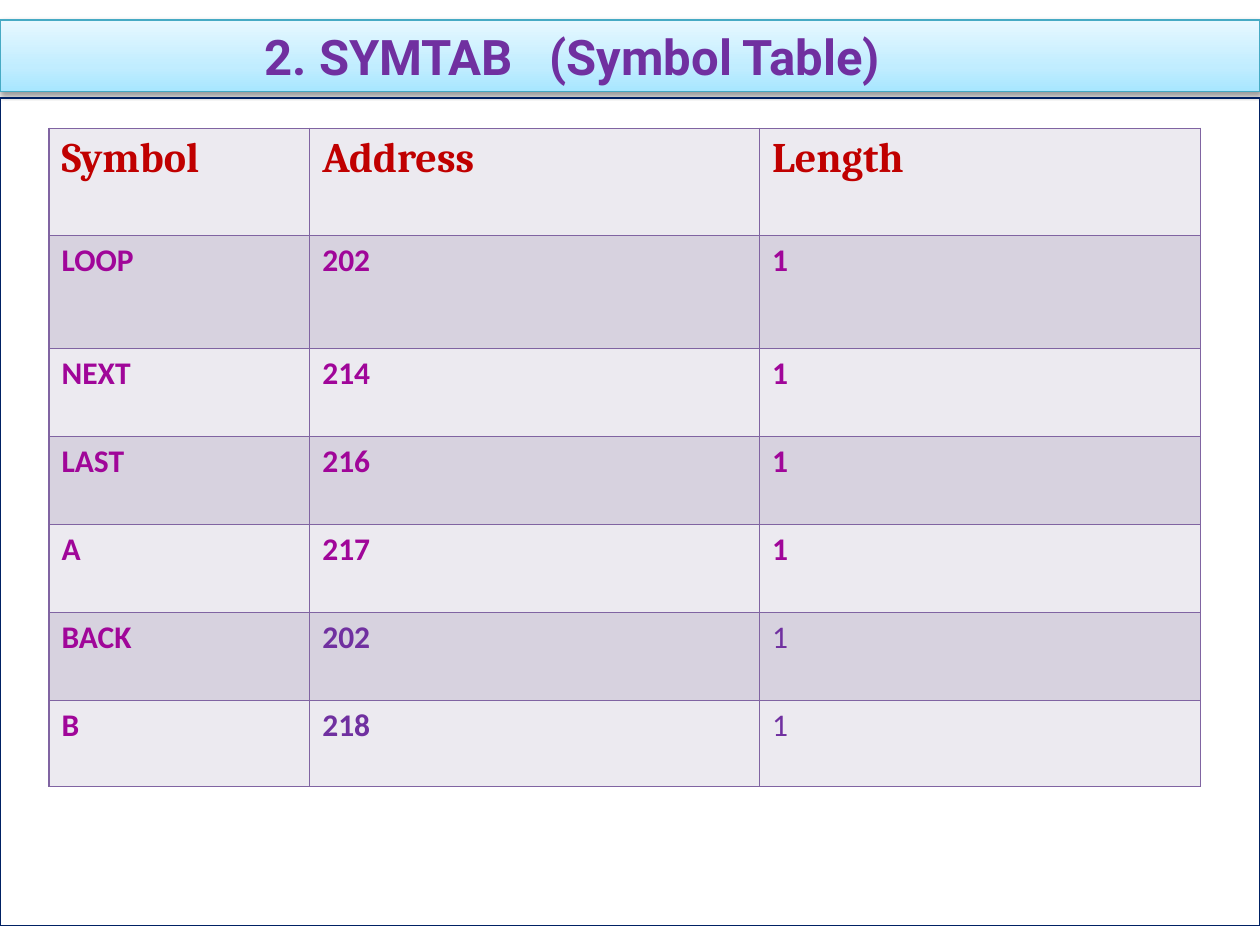
"""Build the SYMTAB (symbol table) slide."""
from lxml import etree
from pptx import Presentation
from pptx.dml import color
from pptx.enum import shapes, text
from pptx.oxml import ns
from pptx.util import Pt

TITLE = "2. SYMTAB\t(Symbol Table)"
HEAD = ("Symbol", "Address", "Length")
ROWS = [
    ("LOOP", "202", "1"),
    ("NEXT", "214", "1"),
    ("LAST", "216", "1"),
    ("A", "217", "1"),
    ("BACK", "202", "1"),
    ("B", "218", "1"),
]
LATE = ("BACK", "B")
WIDTHS = (149, 257, 252)
HEIGHTS = (61.2, 64.7, 50.3, 50.3, 50.3, 50.3, 49)
BANDS = ("ECEAF0", "D7D2DF")
STOPS = ((0, "A7E6FF"), (35, "C1EDFF"), (100, "E7F8FF"))
BORDER = "8064A2"

BANNER = dict(name="Roboto", size=Pt(28), bold=True, color="7030A0")
HEADER = dict(name="Cambria", size=Pt(24), bold=True, color="C00000")
ENTRY = dict(name="Calibri", size=Pt(18), bold=True, color="A00699")
VALUE = dict(ENTRY, color="7030A0")
PLAIN = dict(VALUE, bold=False)


def rgb(code):
    return color.RGBColor.from_string(code)


def node(root, tag, **attrs):
    item = etree.SubElement(root, ns.qn("a:" + tag))
    for key, val in attrs.items():
        item.set(key, str(val))
    return item


def tint(root, code):
    return node(root, "srgbClr", val=code)


def style(font, form):
    for key, val in form.items():
        if key == "color":
            font.color.rgb = rgb(val)
        else:
            setattr(font, key, val)


def box(slide, top, height, line):
    shape = slide.shapes.add_shape(
        shapes.MSO_SHAPE.RECTANGLE, 0, Pt(top), Pt(720), Pt(height))
    shape.shadow.inherit = False
    shape.fill.background()
    shape.line.color.rgb = rgb(line)
    shape.line.width = Pt(0.75)
    return shape


def shade(shape):
    shape.fill.gradient()
    shape.fill.gradient_angle = 90
    props = shape.element.spPr
    stops = props.find(".//" + ns.qn("a:gsLst"))
    stops.clear()
    for pos, code in STOPS:
        tint(node(stops, "gs", pos=pos * 1000), code)
    glow = node(props.find(ns.qn("a:effectLst")), "outerShdw",
                blurRad=Pt(3.1), dist=Pt(1.6), dir=5400000, rotWithShape=0)
    node(tint(glow, "000000"), "alpha", val=38000)


def banner(slide):
    shape = box(slide, 11.5, 41, "46AAC4")
    shade(shape)
    frame = shape.text_frame
    frame.margin_left = Pt(151.2)
    frame.vertical_anchor = text.MSO_ANCHOR.MIDDLE
    para = frame.paragraphs[0]
    para.text = TITLE
    para.alignment = text.PP_ALIGN.LEFT
    tabs = node(para._p.get_or_add_pPr(), "tabLst")
    node(tabs, "tab", pos=Pt(163), algn="l")
    style(para.runs[0].font, BANNER)


def edge(cell):
    props = cell._tc.get_or_add_tcPr()
    for side in "LRTB":
        line = node(props, "ln" + side, w=Pt(0.96))
        tint(node(line, "solidFill"), BORDER)


def choose(row, col):
    if row == 0:
        return HEADER
    if col == 0 or ROWS[row - 1][0] not in LATE:
        return ENTRY
    return VALUE if col == 1 else PLAIN


def symbols(slide):
    data = [HEAD, *ROWS]
    table = slide.shapes.add_table(
        len(data), len(HEAD), Pt(28), Pt(73.3),
        Pt(sum(WIDTHS)), Pt(sum(HEIGHTS))).table
    for col, width in zip(table.columns, WIDTHS):
        col.width = Pt(width)
    for r, (row, height) in enumerate(zip(table.rows, HEIGHTS)):
        row.height = Pt(height)
        for c, cell in enumerate(row.cells):
            edge(cell)
            cell.fill.solid()
            cell.fill.fore_color.rgb = rgb(BANDS[r % 2])
            cell.text = data[r][c]
            style(cell.text_frame.paragraphs[0].runs[0].font, choose(r, c))


def main():
    deck = Presentation()
    deck.slide_width, deck.slide_height = Pt(720), Pt(540)
    slide = deck.slides.add_slide(deck.slide_layouts[6])
    banner(slide)
    box(slide, 56, 473, "002164")
    symbols(slide)
    deck.save("out.pptx")


if __name__ == "__main__":
    main()
